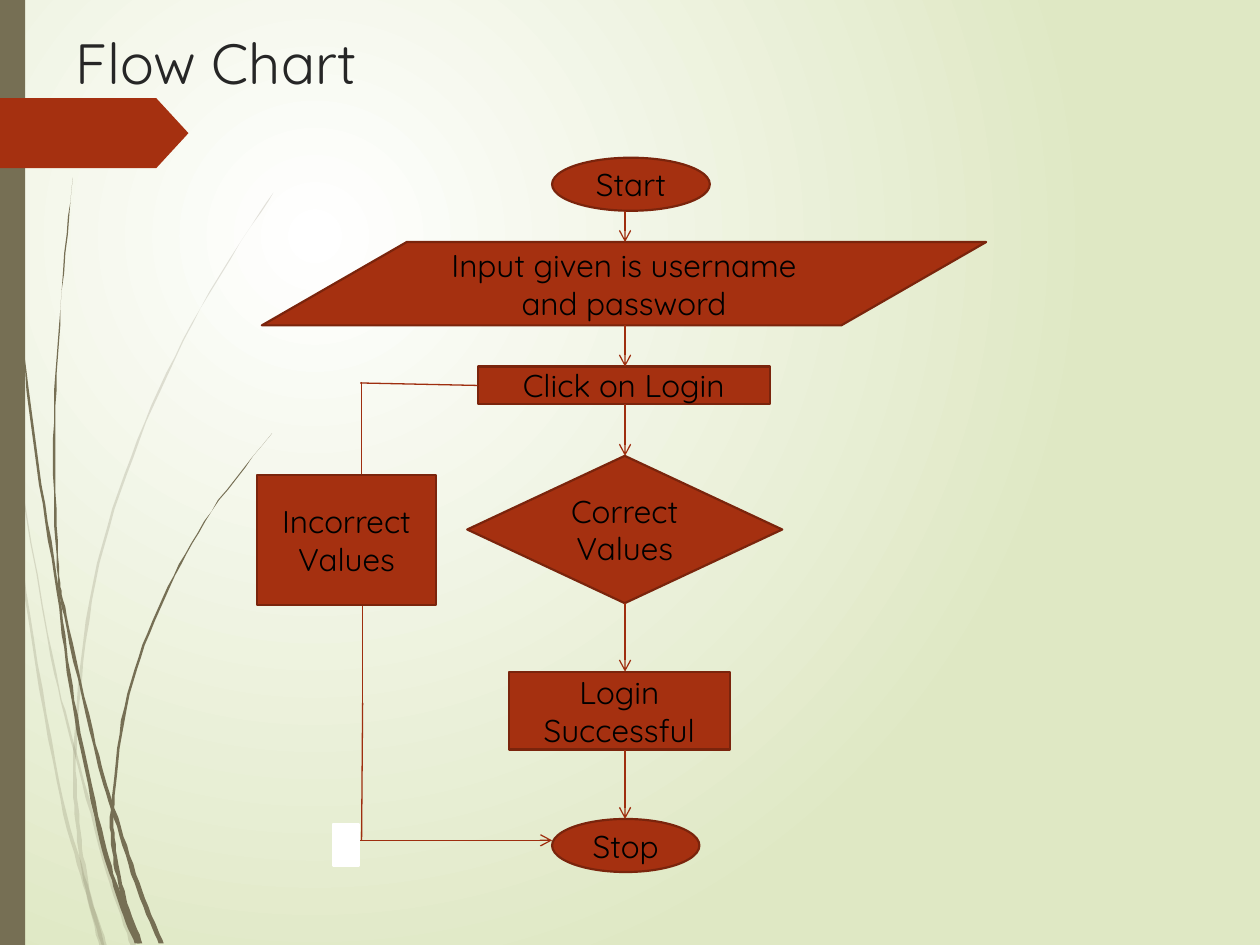
from dataclasses import dataclass
from itertools import pairwise

from lxml.etree import SubElement
from pptx import Presentation
from pptx.dml.color import RGBColor
from pptx.enum.shapes import MSO_CONNECTOR, MSO_SHAPE
from pptx.enum.text import MSO_ANCHOR, PP_ALIGN
from pptx.oxml.ns import qn
from pptx.util import Cm, Pt


@dataclass(frozen=True)
class Theme:
    """Colours, font and sizes of the slide."""
    rust: str = "A53010"
    edge: str = "7A240C"
    link: str = "9E2E0F"
    olive: str = "766F54"
    white: str = "FFFFFF"
    pale: str = "DFE8C4"
    ink: str = "262626"
    black: str = "000000"
    font: str = "Quicksand"
    head: float = 32.4
    text: float = 18


LOOK = Theme()
FAINT = [
    [(0, 282), (8, 355), (20, 470), (46, 620), (68, 703), (83, 751)],
    [(11, 350), (41, 521), (60, 598), (86, 692), (106, 751)],
    [(217, 153), (159, 245), (110, 349), (75, 462), (60, 584),
     (61, 646), (68, 699), (81, 751)],
]
DARK = [
    [(3, 0), (5, 110), (14, 233), (28, 355), (46, 470), (58, 556),
     (79, 658), (94, 710), (109, 749)],
    [(58, 141), (48, 245), (43, 349), (46, 450), (52, 489), (75, 591),
     (92, 649), (111, 707), (128, 749)],
    [(216, 344), (168, 406), (130, 475), (102, 551), (90, 632),
     (90, 670), (98, 712), (111, 749)],
]
STEPS = [
    ("Start", MSO_SHAPE.OVAL, (5.95, 0, 3.18, 1.07)),
    ("Input given is username and password",
     MSO_SHAPE.FLOWCHART_DATA, (0.1, 1.7, 14.6, 1.68)),
    ("Click on Login", MSO_SHAPE.FLOWCHART_PROCESS, (4.45, 4.21, 5.89, 0.76)),
    ("Correct Values", MSO_SHAPE.FLOWCHART_DECISION, (4.24, 6.01, 6.35, 2.97)),
    ("Login Successful",
     MSO_SHAPE.FLOWCHART_PROCESS, (5.08, 10.36, 4.45, 1.57)),
    ("Stop", MSO_SHAPE.OVAL, (5.95, 13.33, 2.97, 1.07)),
]
WRONG = ("Incorrect Values", MSO_SHAPE.FLOWCHART_PROCESS, (0, 6.4, 3.61, 2.62))
AXIS = 7.42
SIDE = [
    (2.11, 4.52, 2.11, 7.19), (2.13, 7.19, 2.13, 10.99),
    (2.13, 10.99, 2.11, 13.76), (2.24, 13.76, 5.41, 13.76),
]


def put(item, vals):
    """Set each attribute in vals on item."""
    for key, val in vals.items():
        setattr(item, key, val)


def tint(shape, fill, line=None):
    """Give a shape a flat fill and an optional outline."""
    shape.shadow.inherit = False
    shape.fill.solid()
    shape.fill.fore_color.rgb = RGBColor.from_string(fill)
    if line:
        shape.line.color.rgb = RGBColor.from_string(line)
        shape.line.width = Pt(1.25)
    else:
        shape.line.fill.background()


def write(shape, text, size, hue, align, anchor):
    """Write one formatted paragraph into a shape."""
    frame = shape.text_frame
    frame.text = text
    put(frame, {"word_wrap": True, "vertical_anchor": anchor})
    para = frame.paragraphs[0]
    para.alignment = align
    font = para.runs[0].font
    put(font, {"name": LOOK.font, "size": Pt(size), "bold": False})
    font.color.rgb = RGBColor.from_string(hue)


def form(slide, kind, box, fill, line=None):
    """Add a preset shape in a box given in centimetres."""
    shape = slide.shapes.add_shape(kind, *map(Cm, box))
    tint(shape, fill, line)
    return shape


def node(slide, box, step):
    """Add one step of the flow chart."""
    text, kind, (x, y, w, h) = step
    shape = form(slide, kind, (box[0] + x, box[1] + y, w, h),
                 LOOK.rust, LOOK.edge)
    write(shape, text, LOOK.text, LOOK.black,
          PP_ALIGN.CENTER, MSO_ANCHOR.MIDDLE)


def link(slide, box, ends, arrow=False):
    """Draw a line between two points of the box."""
    x, y, u, v = ends
    line = slide.shapes.add_connector(
        MSO_CONNECTOR.STRAIGHT, Cm(box[0] + x), Cm(box[1] + y),
        Cm(box[0] + u), Cm(box[1] + v))
    line.line.color.rgb = RGBColor.from_string(LOOK.link)
    line.line.width = Pt(0.75)
    if arrow:
        SubElement(line.line._get_or_add_ln(), qn("a:tailEnd"), type="arrow")
    SubElement(line._element.spPr, qn("a:effectLst"))


def curve(knots, steps=8):
    """Return points of a smooth curve through the knots."""
    ring = [knots[0], *knots, knots[-1]]
    dots = []
    for a, b, c, d in zip(ring, ring[1:], ring[2:], ring[3:]):
        for i in range(steps):
            t = i / steps
            dots.append(tuple(
                q + t * (r - p) / 2 + t * t * (2 * p - 5 * q + 4 * r - s) / 2
                + t ** 3 * (3 * q - p - 3 * r + s) / 2
                for p, q, r, s in zip(a, b, c, d)))
    return dots + [knots[-1]]


def blade(slide, box, knots, alpha):
    """Draw a grass blade that widens towards its foot."""
    dots = curve(knots)
    half = [0.2 + 2 * i / len(dots) for i in range(len(dots))]
    left = [(x - w, y) for (x, y), w in zip(dots, half)]
    right = [(x + w, y) for (x, y), w in zip(dots, half)]
    rim = left + right[::-1]
    pen = slide.shapes.build_freeform(*rim[0], scale=Cm(box[2]) / 217)
    pen.add_line_segments(rim[1:], close=True)
    shape = pen.convert_to_shape(Cm(box[0]), Cm(box[1]))
    tint(shape, LOOK.olive)
    if alpha < 100:
        hue = shape._element.spPr.find(".//" + qn("a:srgbClr"))
        SubElement(hue, qn("a:alpha"), val=str(alpha * 1000))


def back(slide):
    """Fill the background with a round gradient."""
    fill = slide.background.fill
    fill.gradient()
    for stop, hue in zip(fill.gradient_stops, (LOOK.white, LOOK.pale)):
        stop.color.rgb = RGBColor.from_string(hue)
    lin = slide._element.find(".//" + qn("a:lin"))
    grad = lin.getparent()
    grad.remove(lin)
    way = SubElement(grad, qn("a:path"), path="circle")
    SubElement(way, qn("a:fillToRect"),
               l="50000", t="50000", r="100000", b="100000")


def decor(slide, box):
    """Draw the grass, the side bar and the tag."""
    x, y, w, h = box
    for group, alpha in ((FAINT, 20), (DARK, 100)):
        for knots in group:
            blade(slide, box, knots, alpha)
    form(slide, MSO_SHAPE.RECTANGLE, (x, y, 0.51, h), LOOK.olive)
    tag = form(slide, MSO_SHAPE.PENTAGON, (x, y + 1.98, 3.8, 1.41), LOOK.rust)
    tag.adjustments[0] = 0.46


def head(slide, box, text):
    """Place and format the title."""
    title = slide.shapes.title
    put(title, dict(zip(("left", "top", "width", "height"), map(Cm, box))))
    write(title, text, LOOK.head, LOOK.ink, PP_ALIGN.LEFT, MSO_ANCHOR.TOP)


def flow(slide, box):
    """Draw the flow chart with its main axis and side branch."""
    for step in STEPS:
        node(slide, box, step)
    for (*_, top), (*_, low) in pairwise(STEPS):
        link(slide, box, (AXIS, top[1] + top[3], AXIS, low[1]), True)
    for ends in SIDE:
        link(slide, box, ends)
    link(slide, box, (1.7, 13.76, 5.95, 13.76), True)
    form(slide, MSO_SHAPE.RECTANGLE,
         (box[0] + 1.53, box[1] + 13.43, 0.53, 0.84), LOOK.white, LOOK.white)
    node(slide, box, WRONG)
    link(slide, box, (4.45, 4.59, 2.08, 4.54))


def main():
    """Build and save the slide."""
    deck = Presentation()
    put(deck, {"slide_width": Cm(25.4), "slide_height": Cm(19.05)})
    slide = deck.slides.add_slide(deck.slide_layouts[5])
    back(slide)
    decor(slide, (0, 0, 5.51, 19.05))
    head(slide, (1.27, 0.43, 20.75, 1.57), "Flow Chart")
    flow(slide, (5.18, 3.18))
    deck.save("out.pptx")


main()
